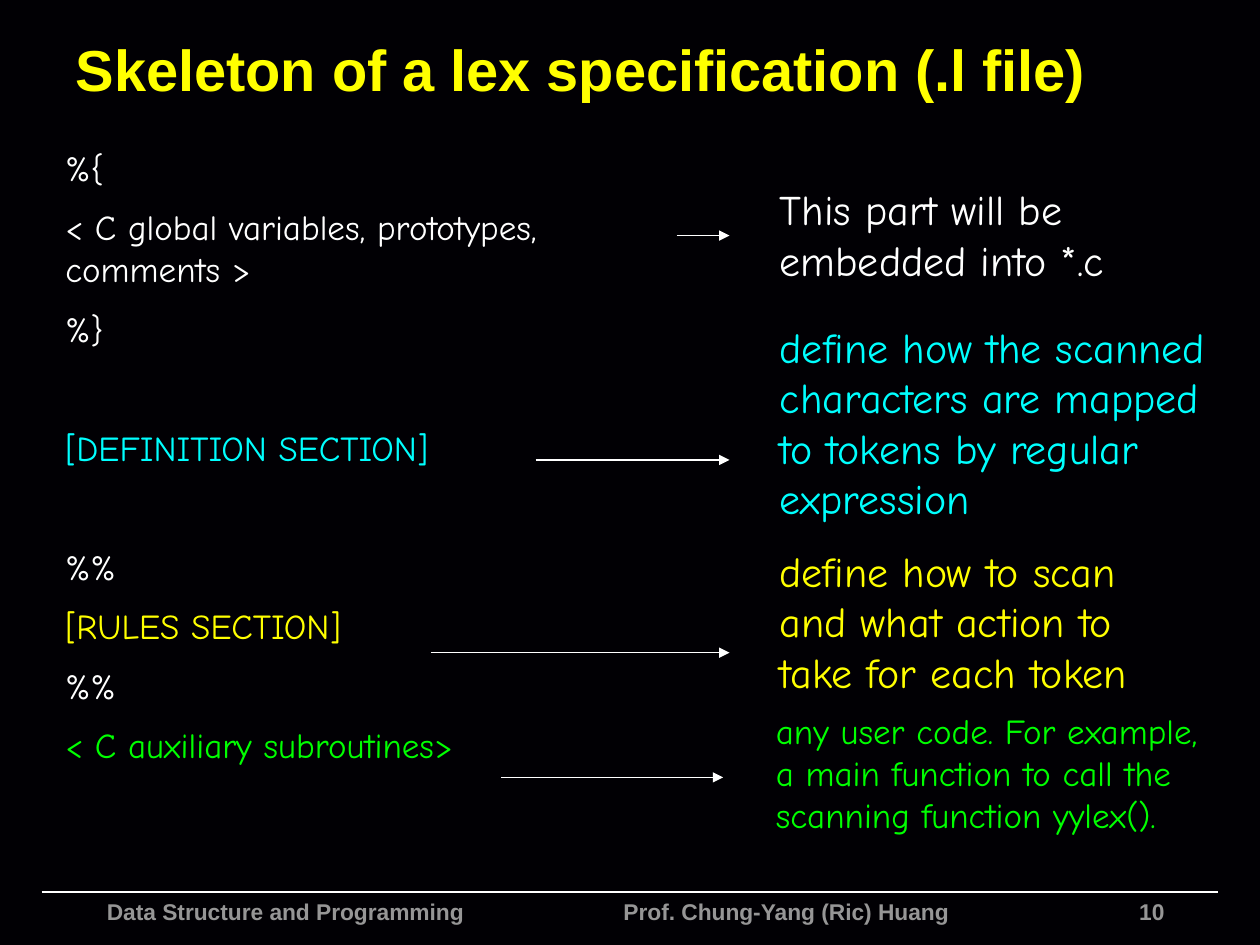
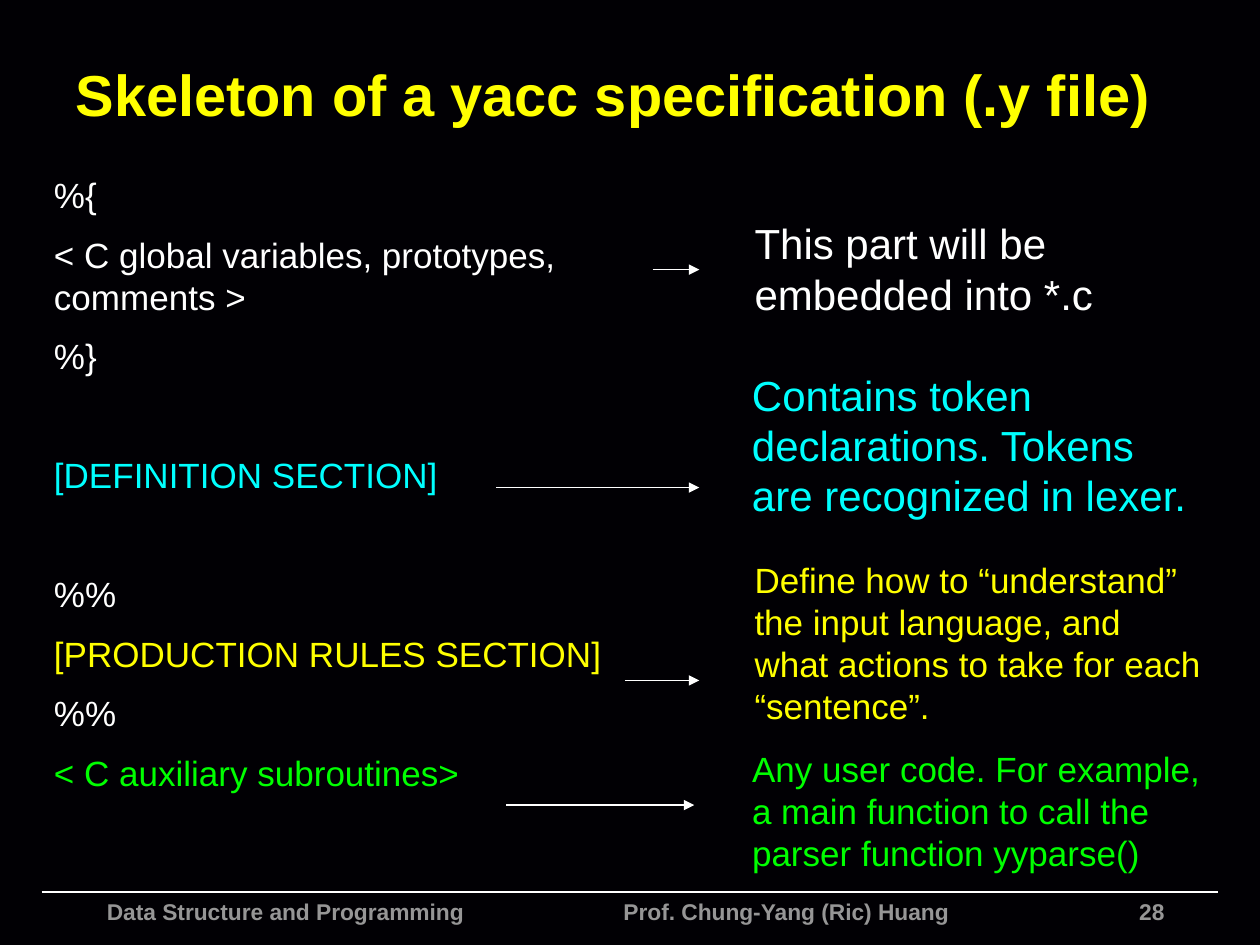
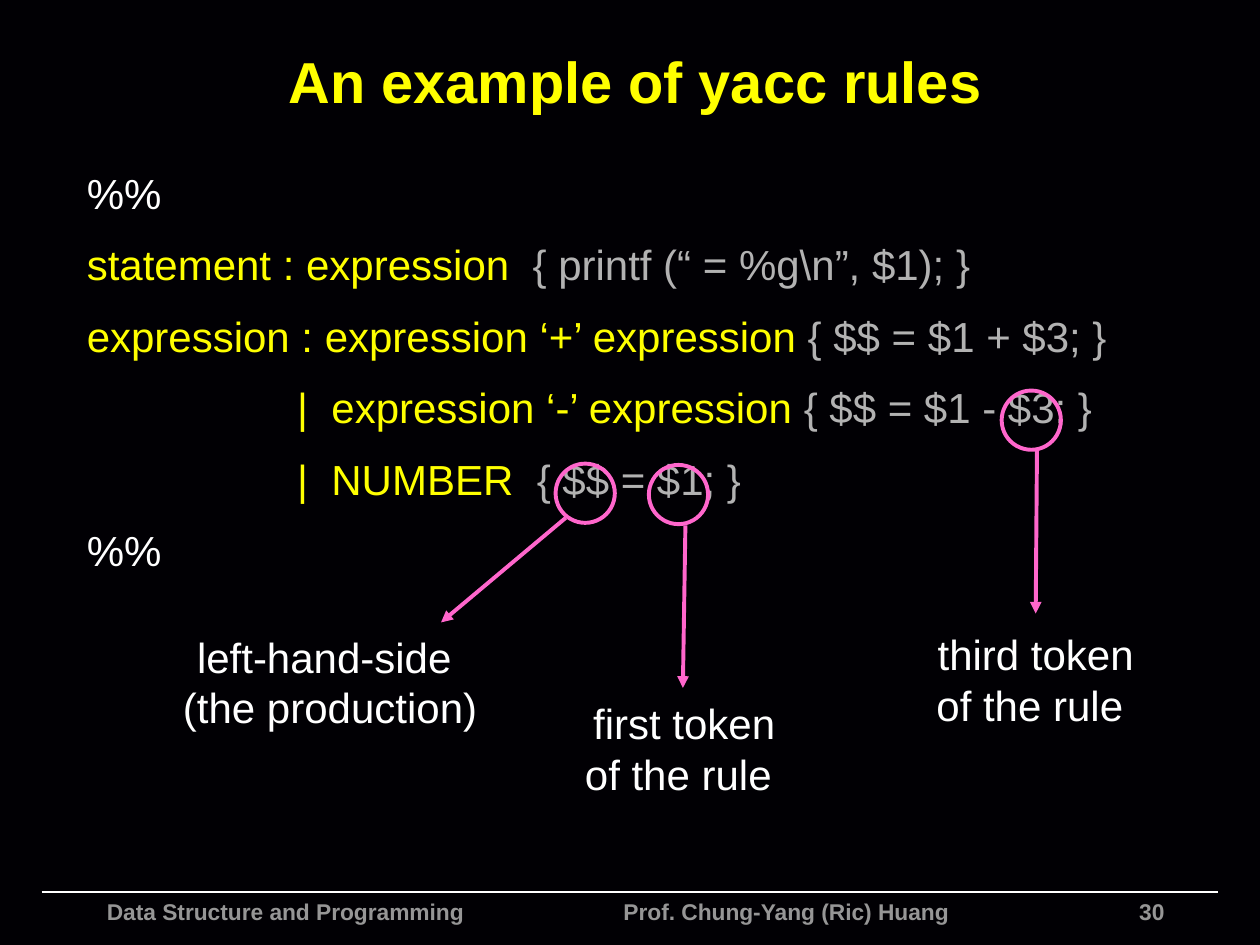
from pptx import Presentation
from pptx.dml.color import RGBColor
from pptx.enum.shapes import MSO_CONNECTOR as Connector, MSO_SHAPE as Shape
from pptx.enum.text import MSO_ANCHOR as Anchor, MSO_AUTO_SIZE as AutoSize, PP_ALIGN as Align
from pptx.oxml.ns import qn
from pptx.util import Inches, Pt
from lxml import etree

# Shared look
BLACK = RGBColor(0x01, 0x00, 0x04)
WHITE = RGBColor(0xFF, 0xFF, 0xFF)
YELLOW = RGBColor(0xFF, 0xFF, 0x00)
CYAN = RGBColor(0x00, 0xFF, 0xFF)
GREEN = RGBColor(0x00, 0xFF, 0x00)
PINK = RGBColor(0xFF, 0x66, 0xCC)
GRAY = RGBColor(0x96, 0x96, 0x96)
SILVER = RGBColor(0xB2, 0xB2, 0xB2)
LINE_PITCH = 1.2   # line height, in font sizes
PARA_GAP = 0.5     # space above a paragraph, in font sizes
SECTION_GAP = 2.2  # space above a new section, in font sizes


def add_text(page, place, paras, size, font="Arial", bold=False, align=Align.LEFT, inset=0.1, wrap=True):
    """Each paragraph is (spans, space above, indent); each span is (text, colour)."""
    box = page.shapes.add_textbox(*map(Inches, place))
    frame = box.text_frame
    settings = {"word_wrap": wrap, "margin_left": Inches(inset), "margin_right": Inches(inset)}
    for name, value in settings.items():
        setattr(frame, name, value)
    for index, (spans, gap, indent) in enumerate(paras):
        para = frame.add_paragraph() if index else frame.paragraphs[0]
        para.alignment = align
        para.line_spacing = Pt(size * LINE_PITCH)
        para.space_before = Pt(size * gap)
        if indent:
            para._p.get_or_add_pPr().set("marL", str(Inches(indent)))
        for text, color in spans:
            span = para.add_run()
            span.text = text
            for name, value in {"size": Pt(size), "name": font, "bold": bold}.items():
                setattr(span.font, name, value)
            span.font.color.rgb = color


def add_line(page, start, end, color, width, arrow=True):
    line = page.shapes.add_connector(Connector.STRAIGHT, *map(Inches, start + end))
    line.line.color.rgb = color
    line.line.width = Pt(width)
    if arrow:
        etree.SubElement(line.line._get_or_add_ln(), qn("a:tailEnd"), type="triangle")
    etree.SubElement(line._element.spPr, qn("a:effectLst"))


deck = Presentation()
deck.slide_width, deck.slide_height = Inches(10), Inches(7.5)
background = deck.slide_master.background.fill
background.solid()
background.fore_color.rgb = BLACK

# Titles and footers of all slides
pages = []
for title_text, title_place, number in [
    ("Skeleton of a lex specification (.l file)", (0.5, 0.17, 9, 0.75), "10"),
    ("Skeleton of a yacc specification (.y file)", (0.5, 0.17, 9, 1.14), "28"),
    ("An example of yacc rules", (2.19, 0.21, 6.49, 0.86), "30"),
]:
    page = deck.slides.add_slide(deck.slide_layouts[5])
    pages.append(page)
    title = page.shapes.title
    title.left, title.top, title.width, title.height = map(Inches, title_place)
    frame = title.text_frame
    frame.text = title_text
    for name, value in {"vertical_anchor": Anchor.MIDDLE, "auto_size": AutoSize.NONE, "word_wrap": True}.items():
        setattr(frame, name, value)
    para = frame.paragraphs[0]
    para.alignment = Align.LEFT
    for name, value in {"size": Pt(33), "name": "Arial", "bold": True}.items():
        setattr(para.runs[0].font, name, value)
    para.runs[0].font.color.rgb = YELLOW

    add_line(page, (0.33, 7.08), (9.67, 7.08), WHITE, 1, arrow=False)
    for text, place, align in [
        ("Data Structure and Programming", (0.75, 7.08, 3.5, 0.35), Align.LEFT),
        ("Prof. Chung-Yang (Ric) Huang", (4.85, 7.08, 3.14, 0.35), Align.LEFT),
        (number, (8.34, 7.08, 1, 0.35), Align.RIGHT),
    ]:
        add_text(page, place, [([(text, GRAY)], 0, 0)], 13, bold=True, align=align)

# Slides 1 and 2: file skeleton on the left, explanations on the right
skeletons = [
    {
        "page": pages[0], "font": "Comic Neue", "code": (0.42, 1.11, 5.25, 5.27),
        "rules": "[RULES SECTION]",
        "notes": [
            ("This part will be embedded into *.c", (6.09, 1.41, 3.17, 0.9), 24, WHITE),
            ("define how the scanned characters are mapped to tokens by regular expression",
             (6.09, 2.5, 3.75, 1.72), 24, CYAN),
            ("define how to scan and what action to take for each token", (6.09, 4.28, 3.33, 1.3), 24, YELLOW),
            ("any user code. For example, a main function to call the scanning function yylex().",
             (6.06, 5.58, 3.77, 1.1), 20, GREEN),
        ],
        "arrows": [(5.37, 5.79, 1.87), (4.25, 5.79, 3.65), (3.42, 5.79, 5.18), (3.98, 5.74, 6.17)],
    },
    {
        "page": pages[1], "font": "Arial", "code": (0.33, 1.33, 5.25, 5.27),
        "rules": "[PRODUCTION RULES SECTION]",
        "notes": [
            ("This part will be embedded into *.c", (5.89, 1.68, 3.76, 0.9), 24, WHITE),
            ("Contains token declarations. Tokens are recognized in lexer.", (5.87, 2.88, 3.7, 1.3), 24, CYAN),
            ("Define how to “understand” the input language, and what actions to take for each “sentence”.",
             (5.89, 4.38, 3.76, 1.43), 20, YELLOW),
            ("Any user code. For example, a main function to call the parser function yyparse()",
             (5.87, 5.88, 3.78, 1.1), 20, GREEN),
        ],
        "arrows": [(5.18, 5.55, 2.14), (3.94, 5.55, 3.87), (4.96, 5.55, 5.4), (4.02, 5.51, 6.39)],
    },
]
for skeleton in skeletons:
    page, font = skeleton["page"], skeleton["font"]
    code = [
        ("%{", WHITE, 0),
        ("< C global variables, prototypes, comments >", WHITE, PARA_GAP),
        ("%}", WHITE, PARA_GAP),
        ("[DEFINITION SECTION]", CYAN, SECTION_GAP),
        ("%%", WHITE, SECTION_GAP),
        (skeleton["rules"], YELLOW, PARA_GAP),
        ("%%", WHITE, PARA_GAP),
        ("< C auxiliary subroutines>", GREEN, PARA_GAP),
    ]
    add_text(page, skeleton["code"], [([(text, color)], gap, 0) for text, color, gap in code], 20, font)
    for text, place, size, color in skeleton["notes"]:
        add_text(page, place, [([(text, color)], 0, 0)], size, font)
    for left, right, height in skeleton["arrows"]:
        add_line(page, (left, height), (right, height), WHITE, 0.75)

# Slide 3: grammar rules with their actions
page = pages[2]
ALTERNATIVE_INDENT = 1.67
rules = [
    ([("%%", WHITE)], 0, 0),
    ([("statement : expression  ", YELLOW), ("{ printf (“ = %g\\n”, $1); }", SILVER)], PARA_GAP, 0),
    ([("expression : expression ‘+’ expression ", YELLOW), ("{ $$ = $1 + $3; }", SILVER)], PARA_GAP, 0),
    ([("|  expression ‘-’ expression ", YELLOW), ("{ $$ = $1 - $3; }", SILVER)], PARA_GAP, ALTERNATIVE_INDENT),
    ([("|  NUMBER  ", YELLOW), ("{ $$ = $1; }", SILVER)], PARA_GAP, ALTERNATIVE_INDENT),
    ([("%%", WHITE)], PARA_GAP, 0),
]
add_text(page, (0.59, 1.28, 8.42, 3.49), rules, 24)

# Circled symbols, each with an arrow to its label
CIRCLE = 0.47
for corner, start, end, lines, place, wrap in [
    ((4.41, 3.68), (4.49, 4.11), (3.5, 4.94), ["left-hand-side ", "(the production)"], (1.4, 4.96, 2.44, 0.9), False),
    ((5.15, 3.69), (5.44, 4.17), (5.42, 5.46), ["first token of the rule "], (4.57, 5.49, 1.72, 0.9), True),
    ((7.95, 3.1), (8.23, 3.58), (8.22, 4.87), ["third token of the rule "], (7.36, 4.94, 1.72, 0.9), True),
]:
    circle = page.shapes.add_shape(Shape.OVAL, *map(Inches, corner + (CIRCLE, CIRCLE)))
    circle.shadow.inherit = False
    circle.fill.background()
    circle.line.color.rgb = PINK
    circle.line.width = Pt(2.25)
    add_line(page, start, end, PINK, 2.25)
    add_text(page, place, [([(text, WHITE)], 0, 0) for text in lines], 24,
             align=Align.CENTER, inset=0.05, wrap=wrap)

deck.save("out.pptx")
